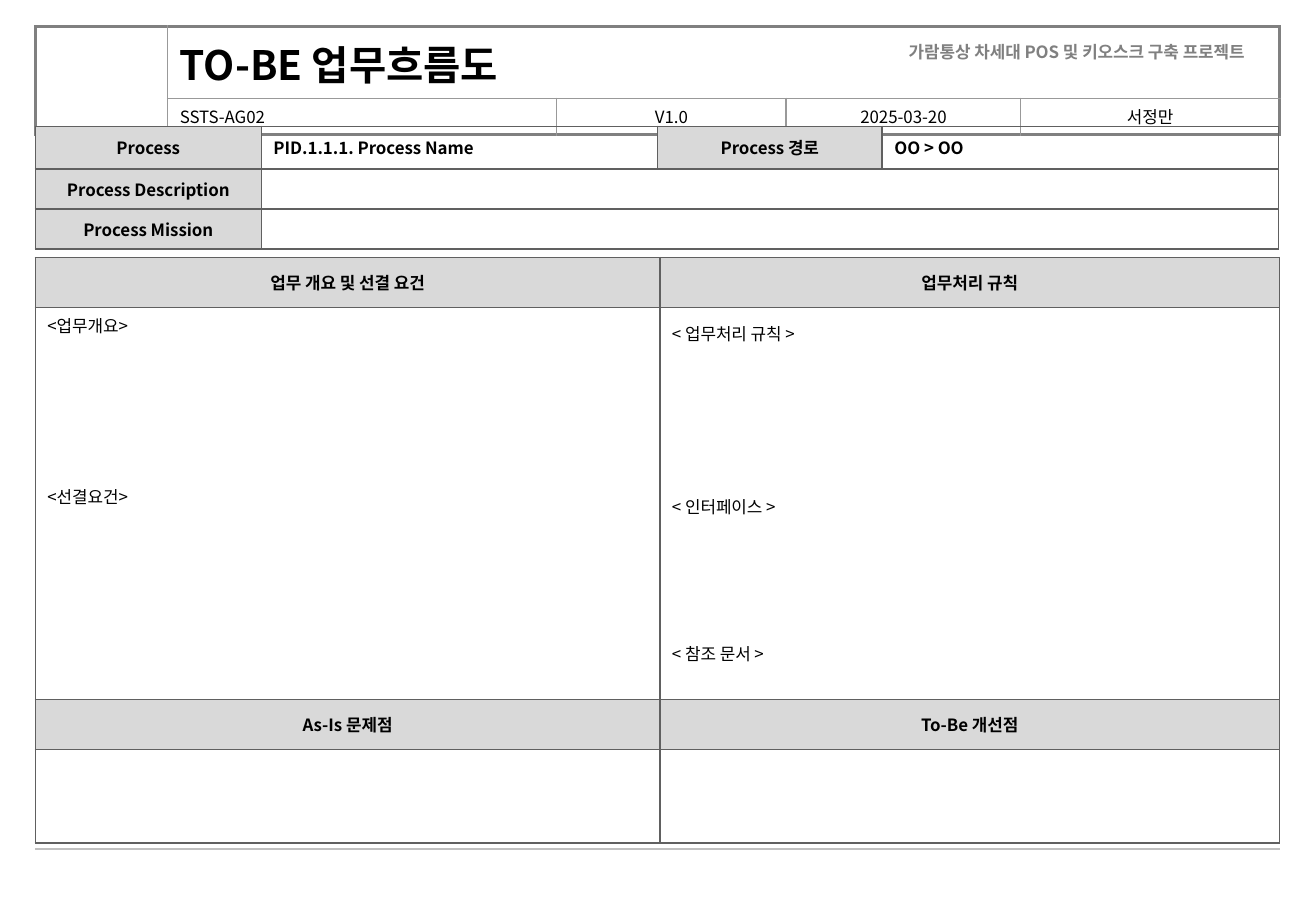
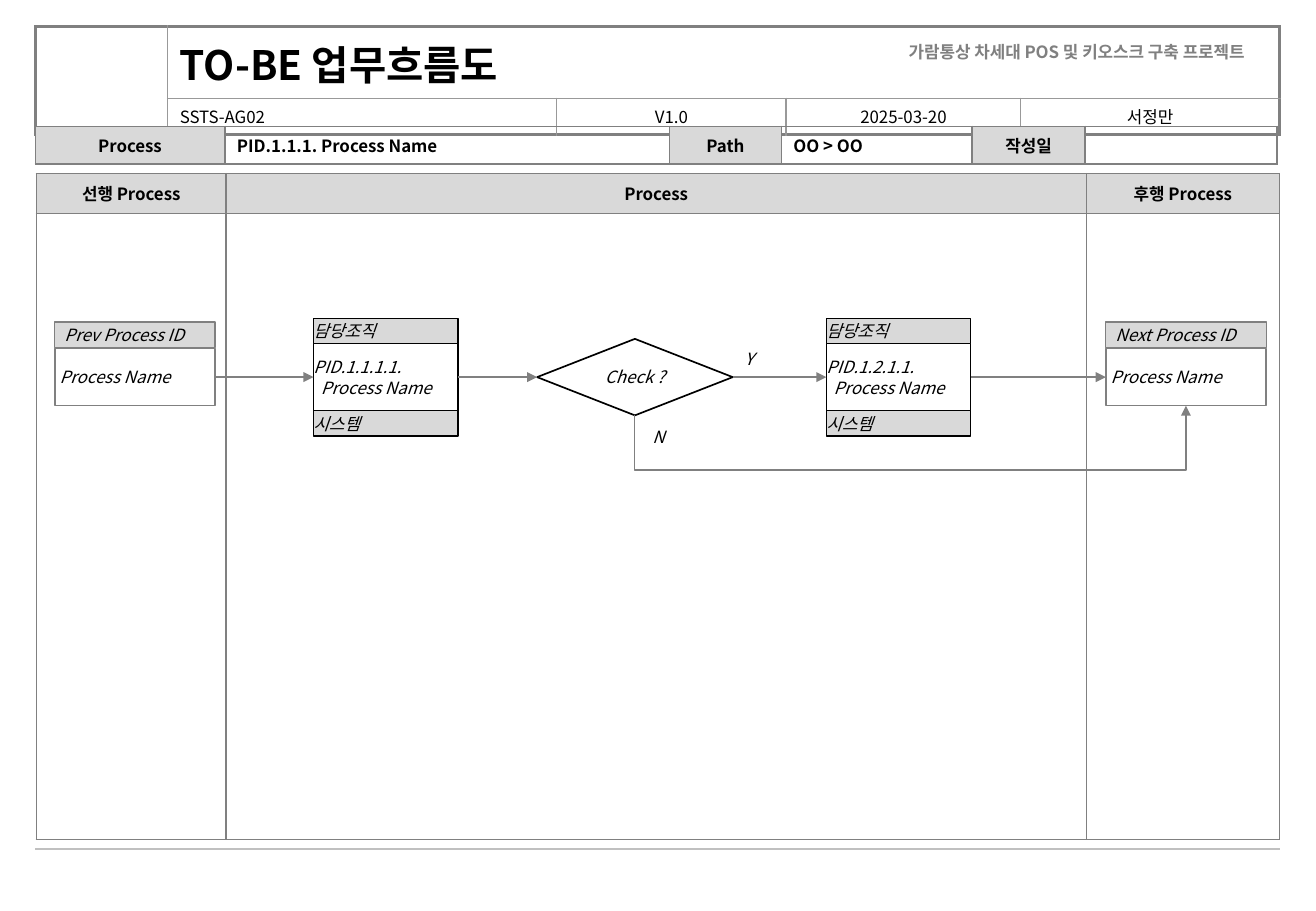
from lxml.etree import SubElement
from pptx import Presentation
from pptx.dml.color import RGBColor
from pptx.enum.shapes import MSO_CONNECTOR, MSO_SHAPE
from pptx.enum.text import MSO_ANCHOR, PP_ALIGN
from pptx.oxml.ns import qn
from pptx.util import Inches, Pt

FONT = "Noto Sans CJK KR"
BLACK, WHITE, SHADE = "000000", "FFFFFF", "D9D9D9"
GRAY, LIGHT, DARK, FOOT = "808080", "999999", "606060", "C0C0C0"
LEFT, WIDTH = 0.29, 10.24
LABEL = dict(fill=SHADE, align=PP_ALIGN.CENTER, bold=True)
VALUE = dict(bold=True)
META = dict(margins=(0.1, 0.02), align=PP_ALIGN.CENTER)


def rgb(value):
    """Turn a hex string into a colour."""
    return RGBColor.from_string(value)


def write(frame, text, size=10, bold=False, italic=False, color=BLACK,
          align=PP_ALIGN.LEFT, gaps=(), indents=(), lead=None):
    """Write one paragraph per line; gaps are points, indents are inches."""
    for index, line in enumerate(text.split("\n")):
        paragraph = frame.paragraphs[0] if index == 0 else frame.add_paragraph()
        paragraph.alignment = align
        if index == 0 and lead:
            paragraph.line_spacing = lead
        if index and gaps:
            paragraph.space_before = Pt(gaps[index - 1])
        if indents:
            paragraph._p.get_or_add_pPr().set("marL", str(Inches(indents[index])))
        if not line:
            SubElement(paragraph._p, qn("a:endParaRPr"), sz=str(size * 100))
            continue
        run = paragraph.add_run()
        run.text = line
        font = run.font
        font.size, font.bold, font.italic = Pt(size), bold, italic
        font.color.rgb = rgb(color)
        font.name = FONT
        SubElement(run._r.get_or_add_rPr(), qn("a:ea"), typeface=FONT)


def set_margins(holder, across, down):
    """Set the inner margins of a cell or a text frame."""
    holder.margin_left = holder.margin_right = Inches(across)
    holder.margin_top = holder.margin_bottom = Inches(down)


def set_border(cell, side, color=None, width=1):
    """Draw one side of a cell, or clear it when no colour is given."""
    properties = cell._tc.get_or_add_tcPr()
    tag = qn("a:ln" + side)
    line = properties.find(tag)
    if line is None:
        line = SubElement(properties, tag)
    for child in list(line):
        line.remove(child)
    line.set("w", str(Pt(width)))
    if color:
        fill = SubElement(line, qn("a:solidFill"))
        SubElement(fill, qn("a:srgbClr"), val=color)
    else:
        SubElement(line, qn("a:noFill"))


def fill_cell(cell, text="", fill=None, margins=(0.1, 0.05),
              anchor=MSO_ANCHOR.MIDDLE, **text_format):
    """Fill a cell with colour and text."""
    if fill:
        cell.fill.solid()
        cell.fill.fore_color.rgb = rgb(fill)
    else:
        cell.fill.background()
    set_margins(cell, *margins)
    cell.vertical_anchor = anchor
    write(cell.text_frame, text, **text_format)


def add_grid(slide, left, top, widths, heights, contents, inner, outer=None, spans=()):
    """Add a table; contents maps (row, column) to text and format."""
    outer = outer or inner
    table = slide.shapes.add_table(len(heights), len(widths), Inches(left), Inches(top),
                                   Inches(sum(widths)), Inches(sum(heights))).table
    table.first_row = table.horz_banding = False
    for column, width in zip(table.columns, widths):
        column.width = Inches(width)
    for row, height in zip(table.rows, heights):
        row.height = Inches(height)
    for start, end in spans:
        table.cell(*start).merge(table.cell(*end))
    for r in range(len(heights)):
        for c in range(len(widths)):
            cell = table.cell(r, c)
            at_edge = {"L": c == 0, "R": c + cell.span_width == len(widths),
                       "T": r == 0, "B": r + cell.span_height == len(heights)}
            for side, is_outer in at_edge.items():
                set_border(cell, side, *(outer if is_outer else inner))
            text, cell_format = contents.get((r, c), ("", {}))
            fill_cell(cell, text, **cell_format)
    return table


def add_line(slide, start, end, color=GRAY, width=0.75, kind=MSO_CONNECTOR.STRAIGHT, arrow=False):
    """Add a connector without shadow, with an arrowhead if asked."""
    line = slide.shapes.add_connector(kind, *map(Inches, start + end))
    line.line.color.rgb = rgb(color)
    line.line.width = Pt(width)
    if arrow:
        SubElement(line.line._get_or_add_ln(), qn("a:tailEnd"), type="triangle")
    SubElement(line._element.spPr, qn("a:effectLst"))
    return line


def add_text(slide, box, text, **text_format):
    """Add a text box."""
    frame = slide.shapes.add_textbox(*map(Inches, box)).text_frame
    frame.word_wrap = True
    write(frame, text, **text_format)


def add_block(shapes, box, text, fill=None, line=BLACK, width=0.75, margins=(0, 0),
              preset=MSO_SHAPE.RECTANGLE, **text_format):
    """Add an outlined flow shape with italic text."""
    block = shapes.add_shape(preset, *map(Inches, box))
    block.shadow.inherit = False
    if fill:
        block.fill.solid()
        block.fill.fore_color.rgb = rgb(fill)
    else:
        block.fill.background()
    block.line.color.rgb = rgb(line)
    block.line.width = Pt(width)
    frame = block.text_frame
    frame.word_wrap = True
    frame.vertical_anchor = MSO_ANCHOR.MIDDLE
    set_margins(frame, *margins)
    write(frame, text, italic=True, **text_format)
    return block


def add_page(deck):
    """Add a slide with the shared document header and footer rule."""
    slide = deck.slides.add_slide(deck.slide_layouts[6])
    add_line(slide, (LEFT, 6.99), (LEFT + WIDTH, 6.99), FOOT, 1.5)
    header = add_grid(
        slide, LEFT, 0.22, (1.09, 3.2, 1.89, 1.05, 0.88, 2.13), (0.59, 0.3),
        {(0, 1): ("TO-BE 업무흐름도", dict(size=24, bold=True)),
         (1, 1): ("SSTS-AG02", META | dict(align=PP_ALIGN.LEFT)),
         (1, 2): ("V1.0", META),
         (1, 3): ("2025-03-20", META),
         (1, 5): ("서정만", META)},
        (LIGHT, 1), (GRAY, 2),
        [((0, 0), (1, 0)), ((0, 1), (0, 3)), ((0, 4), (0, 5)), ((1, 3), (1, 4))])
    for column, side in ((1, "R"), (3, "R"), (4, "L")):
        set_border(header.cell(0, column), side)
    add_text(slide, (6.26, 0.29, 4.08, 0.27), "가람통상 차세대 POS 및 키오스크 구축 프로젝트",
             bold=True, color=GRAY, align=PP_ALIGN.RIGHT)
    return slide


def build_overview(deck):
    """Build the process overview slide."""
    slide = add_page(deck)
    note = dict(anchor=MSO_ANCHOR.TOP)
    add_grid(
        slide, LEFT, 2.12, (5.14, 5.1), (0.41, 3.23, 0.41, 0.77),
        {(0, 0): ("업무 개요 및 선결 요건", LABEL),
         (0, 1): ("업무처리 규칙", LABEL),
         (1, 0): ("<업무개요>\n<선결요건>", note | dict(gaps=(87,))),
         (1, 1): ("< 업무처리 규칙 >\n< 인터페이스 >\n< 참조 문서 >",
                  note | dict(gaps=(88.6, 72.4), lead=1.3)),
         (2, 0): ("As-Is 문제점", LABEL),
         (2, 1): ("To-Be 개선점", LABEL)},
        (DARK, 1))
    add_grid(
        slide, LEFT, 1.04, (1.86, 3.26, 1.85, 3.26), (0.35, 0.33, 0.33),
        {(0, 0): ("Process", LABEL),
         (0, 1): ("PID.1.1.1. Process Name", VALUE),
         (0, 2): ("Process 경로", LABEL),
         (0, 3): ("OO > OO", VALUE),
         (1, 0): ("Process Description", LABEL),
         (2, 0): ("Process Mission", LABEL)},
        (DARK, 1), spans=[((row, 1), (row, 3)) for row in (1, 2)])


def add_step(slide, left, top, process_id):
    """Add a process step between its team and system bars; return the middle box."""
    shapes = slide.shapes.add_group_shape().shapes
    step = add_block(shapes, (left, top + 0.2, 1.19, 0.57), process_id + "\nProcess Name",
                     indents=(0, 0.06))
    for offset, caption in ((0, "담당조직"), (0.76, "시스템")):
        add_block(shapes, (left, top + offset, 1.19, 0.21), caption, SHADE)
    return step


def add_neighbour(slide, left, top, caption):
    """Add a preceding or following process; return its name box."""
    shapes = slide.shapes.add_group_shape().shapes
    name_box = add_block(shapes, (left, top + 0.22, 1.32, 0.47), "Process Name",
                         line=GRAY, width=1, margins=(0.04, 0.04))
    add_block(shapes, (left, top, 1.32, 0.21), caption, SHADE, GRAY, margins=(0.08, 0))
    return name_box


def add_bypass(slide, start, end, depth):
    """Add an elbow arrow that drops by depth and rises to the end point."""
    (x1, y1), (x2, y2) = start, end
    span, rise = x2 - x1, y1 - y2
    x, y = (x1 + x2) / 2, (y1 + y2) / 2
    elbow = add_line(slide, (x + rise / 2, y + span / 2), (x - rise / 2, y - span / 2),
                     kind=MSO_CONNECTOR.ELBOW, arrow=True)
    properties = elbow._element.spPr
    properties.find(qn("a:xfrm")).set("rot", "5400000")
    adjustments = properties.find(qn("a:prstGeom")).find(qn("a:avLst"))
    SubElement(adjustments, qn("a:gd"), name="adj1", fmla=f"val {round(-depth / rise * 100000)}")


def build_flow(deck):
    """Build the process flow slide."""
    slide = add_page(deck)
    stages = ("선행 Process", "Process", "후행 Process")
    add_grid(slide, 0.3, 1.43, (1.56, 7.08, 1.59), (0.33, 5.15),
             {(0, column): (stage, LABEL) for column, stage in enumerate(stages)}, (GRAY, 1))
    add_grid(
        slide, LEFT, 1.04, (1.56, 3.66, 0.92, 1.57, 0.93, 1.58), (0.31,),
        {(0, 0): ("Process", LABEL),
         (0, 1): ("PID.1.1.1. Process Name", VALUE),
         (0, 2): ("Path", LABEL),
         (0, 3): ("OO > OO", VALUE),
         (0, 4): ("작성일", LABEL)},
        (GRAY, 1))
    first = add_step(slide, 2.58, 2.62, "PID.1.1.1.1.")
    second = add_step(slide, 6.8, 2.62, "PID.1.2.1.1.")
    following = add_neighbour(slide, 9.1, 2.65, "Next Process ID")
    check = add_block(slide.shapes, (4.42, 2.79, 1.61, 0.63), "Check ?", WHITE, width=1,
                      preset=MSO_SHAPE.DIAMOND, align=PP_ALIGN.CENTER)
    add_text(slide, (6.03, 2.82, 0.57, 0.27), "Y", italic=True)
    add_text(slide, (5.27, 3.46, 0.64, 0.27), "N", italic=True)
    previous = add_neighbour(slide, 0.45, 2.65, "Prev Process ID")
    chain = (previous, first, check, second, following)
    for source, target in zip(chain, chain[1:]):
        arrow = add_line(slide, (0, 0), (1, 0), arrow=True)
        arrow.begin_connect(source, 3)
        arrow.end_connect(target, 1)
    add_bypass(slide, (5.22, 3.42), (9.76, 3.34), 0.45)


def main():
    """Build and save the deck."""
    deck = Presentation()
    deck.slide_width, deck.slide_height = Inches(10.83), Inches(7.5)
    build_overview(deck)
    build_flow(deck)
    deck.save("out.pptx")


if __name__ == "__main__":
    main()
